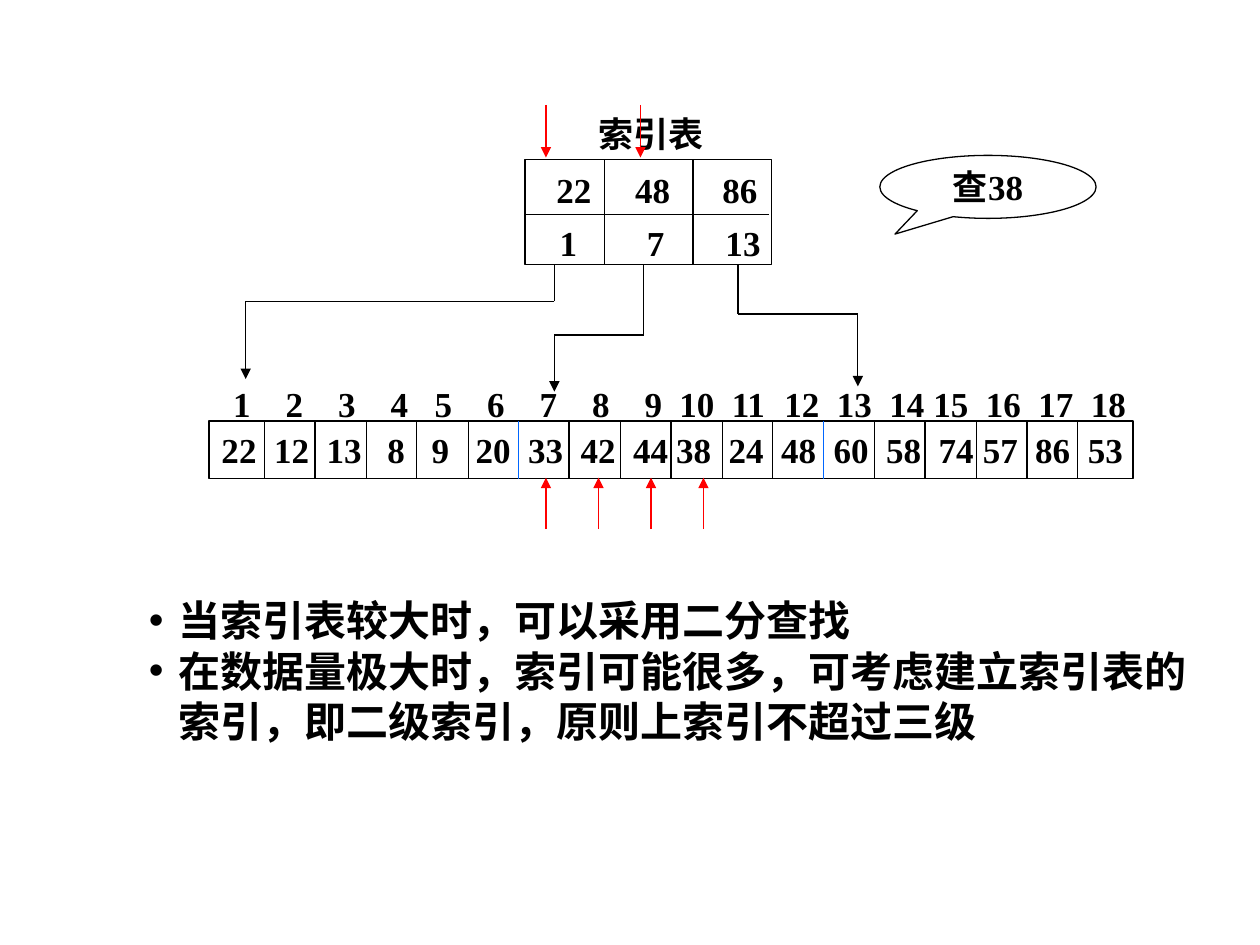
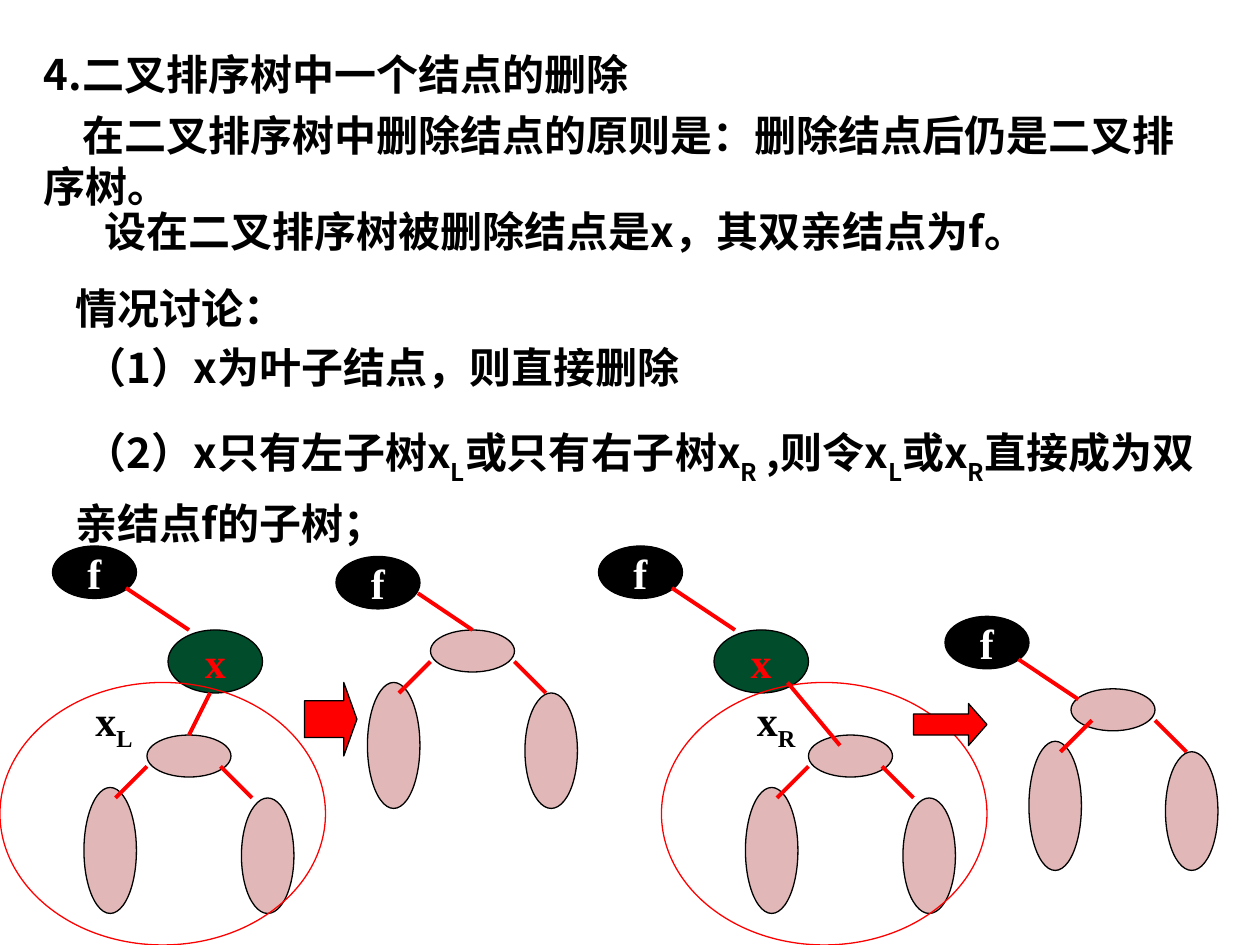
from lxml import etree
from pptx import Presentation
from pptx.dml.color import RGBColor
from pptx.enum.shapes import MSO_CONNECTOR, MSO_SHAPE
from pptx.enum.text import MSO_ANCHOR, PP_ALIGN
from pptx.oxml.ns import qn
from pptx.util import Emu, Pt

PX = 914400 // 120
BLACK = RGBColor(0x00, 0x00, 0x00)
WHITE = RGBColor(0xFF, 0xFF, 0xFF)
RED = RGBColor(0xFF, 0x00, 0x00)
BLUE = RGBColor(0x00, 0x66, 0xFF)
GREEN = RGBColor(0x00, 0x4C, 0x2B)
PINK = RGBColor(0xE1, 0xB7, 0xB7)
SERIF = "Times New Roman"
SANS = "Noto Sans CJK SC"
RECTANGLE = MSO_SHAPE.RECTANGLE
OVAL = MSO_SHAPE.OVAL
CALLOUT = MSO_SHAPE.OVAL_CALLOUT
ARROW = MSO_SHAPE.RIGHT_ARROW
STRAIGHT = MSO_CONNECTOR.STRAIGHT
LEFT, CENTER = PP_ALIGN.LEFT, PP_ALIGN.CENTER
MIDDLE = MSO_ANCHOR.MIDDLE


def add_box(page, kind, bounds, fill=None, outline=BLACK, adjustments=()):
    """Add a preset shape, or a plain text box when kind is None."""
    bounds = [Emu(length * PX) for length in bounds]
    if kind is None:
        box = page.shapes.add_textbox(*bounds)
    else:
        box = page.shapes.add_shape(kind, *bounds)
        box.shadow.inherit = False
        box.line.color.rgb = outline
        box.line.width = Pt(0.75)
        if fill is None:
            box.fill.background()
        else:
            box.fill.solid()
            box.fill.fore_color.rgb = fill
        for number, value in enumerate(adjustments):
            box.adjustments[number] = value
        box.text_frame.vertical_anchor = MIDDLE
    box.text_frame.word_wrap = True
    return box


def write(box, text, size=24, font=SERIF, color=BLACK, align=LEFT, before=0,
          spacing=None, margin=0, indent=0, bullet=None, drop=-30):
    """Append a paragraph; every second part between bars is a subscript."""
    frame = box.text_frame
    para = frame.add_paragraph() if frame.text else frame.paragraphs[0]
    para.alignment = align
    para.space_before = Pt(before)
    if spacing:
        para.line_spacing = Pt(spacing)
    settings = para._p.get_or_add_pPr()
    settings.set("marL", str(margin * PX))
    settings.set("indent", str(indent * PX))
    if bullet:
        etree.SubElement(settings, qn("a:buFont")).set("typeface", "Arial")
        etree.SubElement(settings, qn("a:buChar")).set("char", bullet)
    for number, part in enumerate(text.split("|")):
        span = para.add_run()
        span.text = part
        span.font.size = Pt(size)
        span.font.bold = True
        span.font.color.rgb = color
        span.font.name = font
        look = span.font._element
        etree.SubElement(look, qn("a:ea")).set("typeface", SANS)
        if number % 2:
            look.set("baseline", str(drop * 1000))


deck = Presentation()
deck.slide_width = Emu(1200 * PX)
deck.slide_height = Emu(900 * PX)
blank = deck.slide_layouts[6]
lines = []  # page, start, end, color, width, arrowhead

# Slide 1: index table above the data blocks
page = deck.slides.add_slide(blank)
add_box(page, RECTANGLE, (199, 401, 880, 55))
add_box(page, RECTANGLE, (500, 152, 235, 100))

# Each number starts a count of half digits from the left end of its row.
for left, top, numbers, halves in [
    (222, 358, range(1, 19),
     [0, 6, 12, 18, 23, 29, 35, 41, 47, 51, 57, 63, 69, 75, 80, 86, 92, 98]),
    (211, 402,
     [22, 12, 13, 8, 9, 20, 33, 42, 44, 38, 24, 48, 60, 58, 74, 57, 86, 53],
     [0, 6, 12, 19, 24, 29, 35, 41, 47, 52, 58, 64, 70, 76, 82, 87, 93, 99]),
    (530, 155, [22, 48, 86], [0, 9, 19]),
    (533, 205, [1, 7, 13], [0, 10, 19]),
]:
    for number, half in zip(numbers, halves):
        box = add_box(page, None, (left + round(half * 25 / 3), top, 38, 53))
        box.text_frame.margin_left = box.text_frame.margin_right = 0
        write(box, str(number), size=20)

for divider in range(17):
    x = round(252 + divider * 48.4)
    color = BLUE if divider in (5, 11) else BLACK
    lines.append((page, (x, 401), (x, 456), color, 0.75, False))

lines.append((page, (500, 204), (732, 204), BLACK, 0.75, False))
for x in (576, 660):
    lines.append((page, (x, 152), (x, 252), BLACK, 0.75, False))

for start, bend, end, tip in [(528, 287, 234, 361), (613, 319, 528, 373),
                              (703, 299, 817, 368)]:
    lines += [(page, (start, 252), (start, bend), BLACK, 0.75, False),
              (page, (start, bend), (end, bend), BLACK, 0.75, False),
              (page, (end, bend), (end, tip), BLACK, 0.75, True)]

write(add_box(page, None, (558, 101, 140, 53)), "索引表", size=20, spacing=24)
callout = add_box(page, CALLOUT, (838, 148, 206, 60), adjustments=(-0.43, 0.75))
write(callout, "查38", size=20, align=CENTER)

for x in (520, 610):
    lines.append((page, (x, 100), (x, 150), RED, 0.75, True))
for x in range(520, 671, 50):
    lines.append((page, (x, 504), (x, 455), RED, 0.75, True))

notes = add_box(page, None, (130, 560, 1020, 156))
for text in ("当索引表较大时，可以采用二分查找",
             "在数据量极大时，索引可能很多，可考虑建立索引表的索引，即二级索引，原则上索引不超过三级"):
    write(notes, text, spacing=29, margin=28, indent=-28, bullet="•")

# Slide 2: deleting a node from a binary search tree
page = deck.slides.add_slide(blank)
heading = add_box(page, None, (30, 40, 1130, 167))
write(heading, "4.二叉排序树中一个结点的删除", font=SANS, spacing=29)
write(heading, "在二叉排序树中删除结点的原则是：删除结点后仍是二叉排序树。",
      font=SANS, spacing=29, before=6, indent=37)

cases = add_box(page, None, (60, 189, 1100, 337))
for text, indent, before, spacing in [
    ("设在二叉排序树被删除结点是x，其双亲结点为f。", 28, 0, 29),
    ("情况讨论：", 0, 15, 29),
    ("（1）x为叶子结点，则直接删除", 9, 15, 19),
    ("（2）x只有左子树x|L|或只有右子树x|R| ,则令x|L|或x|R|直接成为双亲结点f的子树；",
     9, 19, 35),
]:
    write(cases, text, font=SANS, indent=indent, before=before, spacing=spacing)

# Parent corner, ends of its edge, subtree root corner,
# starts of the left and right branches, shift of the left leaf, extra height
for (fx, fy), edge_start, edge_end, (x, y), left, right, shift, extra in [
    ((320, 530), (398, 565), (450, 600), (410, 600), 0, 80, 0, 0),
    ((50, 520), (120, 560), (180, 600), (140, 700), 0, 70, 0, 0),
    ((570, 520), (640, 560), (700, 600), (770, 700), 0, 70, 0, 0),
    ((900, 587), (970, 628), (1027, 666), (1020, 656), 20, 80, 20, 3),
]:
    write(add_box(page, OVAL, (fx, fy, 80, 50), BLACK), "f",
          color=WHITE, align=CENTER)
    add_box(page, OVAL, (x, y, 80, 40), PINK)
    add_box(page, OVAL, (x - 60 + shift, y + 50, 50, 120 + extra), PINK)
    add_box(page, OVAL, (x + 90, y + 60, 50, 110 + extra), PINK)
    for start, end in [
        (edge_start, edge_end),
        ((x + left, y + 30), (x + left - 30, y + 60)),
        ((x + right, y + 30), (x + right + 30, y + 60)),
    ]:
        lines.append((page, start, end, RED, 2.25, False))

for node_x, circle_x, label, start, end in [
    (160, 0, "x|L", (200, 660), (180, 700)),
    (680, 630, "x|R", (750, 650), (800, 710)),
]:
    write(add_box(page, OVAL, (node_x, 600, 90, 60), GREEN), "x",
          color=RED, align=CENTER)
    add_box(page, OVAL, (circle_x, 650, 310, 250), outline=RED)
    write(add_box(page, None, (circle_x + 79, 656, 70, 67)), label, drop=-25)
    lines.append((page, start, end, RED, 2.25, False))

add_box(page, ARROW, (290, 650, 50, 70), RED, adjustments=(0.5, 0.25))
add_box(page, ARROW, (870, 670, 70, 40), RED, adjustments=(0.5, 0.44))

# Lines of both slides
for page, start, end, color, width, arrowhead in lines:
    ends = [Emu(length * PX) for length in start + end]
    link = page.shapes.add_connector(STRAIGHT, *ends)
    link.line.color.rgb = color
    link.line.width = Pt(width)
    if arrowhead:
        etree.SubElement(link.line._get_or_add_ln(), qn("a:tailEnd"), type="triangle")
    etree.SubElement(link._element.spPr, qn("a:effectLst"))

deck.save("out.pptx")
